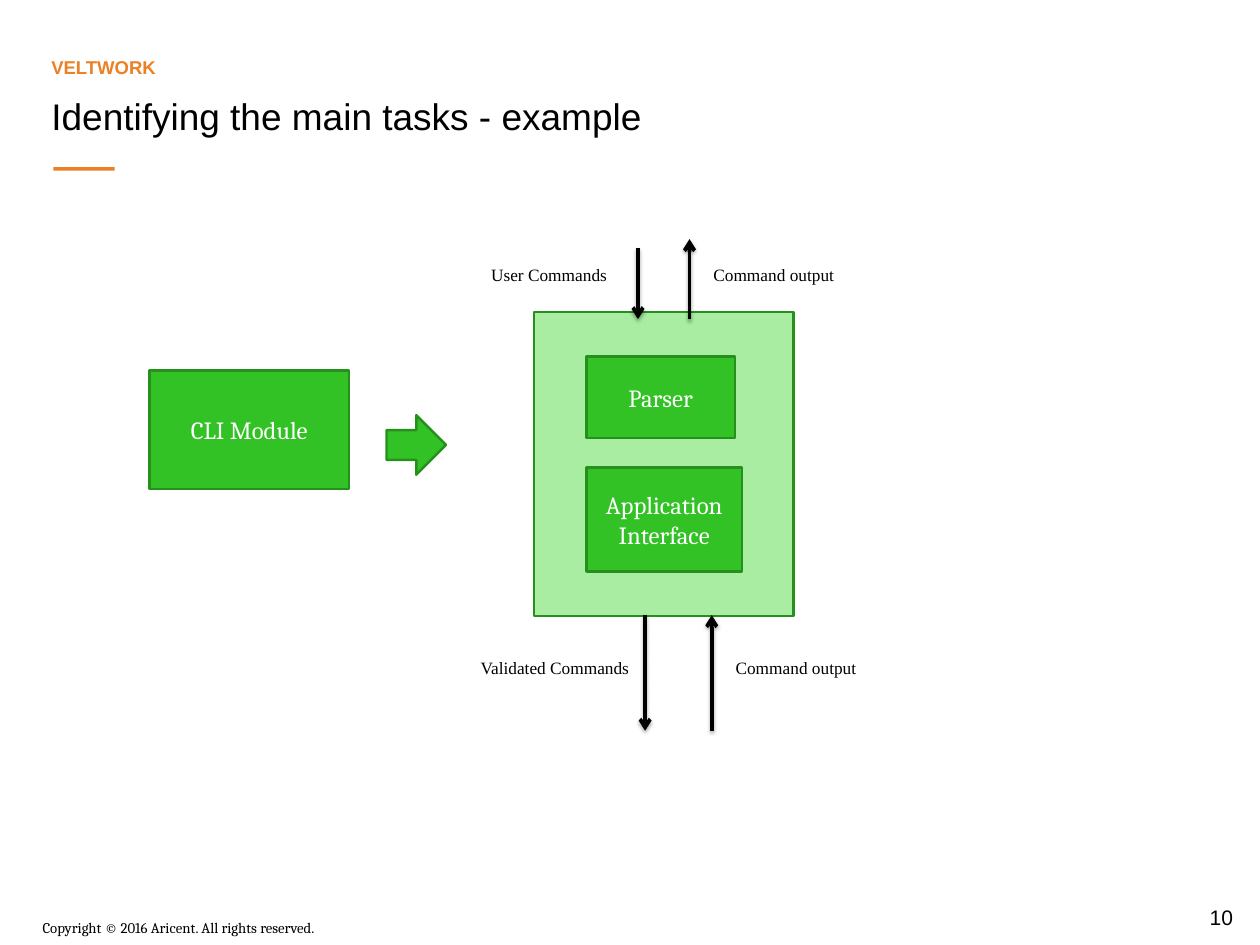
"""Build the command-line module slide and its task breakdown."""
from dataclasses import dataclass

from lxml.etree import SubElement
from pptx import Presentation
from pptx.dml.color import RGBColor as Color
from pptx.enum.shapes import MSO_CONNECTOR as Connector, MSO_SHAPE as Preset
from pptx.enum.text import MSO_ANCHOR as Anchor, MSO_AUTO_SIZE as Fit, PP_ALIGN as Align
from pptx.oxml.ns import qn
from pptx.slide import Slide
from pptx.text.text import TextFrame
from pptx.util import Inches, Pt


@dataclass(frozen=True)
class TextStyle:
    face: str
    size: int
    color: str
    bold: bool = False


@dataclass(frozen=True)
class Theme:
    accent: str = "EB8024"
    green: str = "32C225"
    pale_green: str = "A8EDA1"
    outline: str = "25901B"
    ink: str = "000000"
    outline_width: int = 2
    arrow_width: int = 3
    section: TextStyle = TextStyle("Arial", 15, "EB8024", True)
    title: TextStyle = TextStyle("Arial", 30, "000000")
    number: TextStyle = TextStyle("Arial", 17, "000000")
    footer: TextStyle = TextStyle("Cambria", 12, "000000")
    block: TextStyle = TextStyle("Cambria", 20, "FFFFFF")
    label: TextStyle = TextStyle("Times New Roman", 14, "000000")


THEME = Theme()


@dataclass(frozen=True)
class Area:
    left: float
    top: float
    width: float
    height: float

    def lengths(self) -> tuple:
        """Return the four measures as slide lengths."""
        return tuple(map(Inches, (self.left, self.top, self.width, self.height)))


@dataclass(frozen=True)
class Label:
    text: str
    area: Area
    style: TextStyle
    align: Align = Align.LEFT
    anchor: Anchor = Anchor.TOP
    fit: Fit = Fit.SHAPE_TO_FIT_TEXT


@dataclass(frozen=True)
class Block:
    area: Area
    text: str = ""
    preset: Preset = Preset.RECTANGLE
    fill: str = THEME.green
    line: str = THEME.outline


@dataclass(frozen=True)
class Flow:
    x: float
    start: float
    end: float


def write(frame: TextFrame, text: str, style: TextStyle, align: Align, anchor: Anchor) -> None:
    """Put one styled paragraph in a text frame."""
    frame.word_wrap = True
    frame.vertical_anchor = anchor
    para = frame.paragraphs[0]
    para.alignment = align
    span = para.add_run()
    span.text = text
    formats = {"name": style.face, "size": Pt(style.size), "bold": style.bold}
    for name, value in formats.items():
        setattr(span.font, name, value)
    span.font.color.rgb = Color.from_string(style.color)


def draw_label(page: Slide, label: Label) -> None:
    """Draw a text box."""
    frame = page.shapes.add_textbox(*label.area.lengths()).text_frame
    write(frame, label.text, label.style, label.align, label.anchor)
    frame.auto_size = label.fit


def draw_block(page: Slide, block: Block) -> None:
    """Draw a filled shape with its caption."""
    box = page.shapes.add_shape(block.preset, *block.area.lengths())
    box.shadow.inherit = False
    box.fill.solid()
    box.fill.fore_color.rgb = Color.from_string(block.fill)
    if block.line:
        box.line.color.rgb = Color.from_string(block.line)
        box.line.width = Pt(THEME.outline_width)
    else:
        box.line.fill.background()
    if block.text:
        write(box.text_frame, block.text, THEME.block, Align.CENTER, Anchor.MIDDLE)


def draw_flow(page: Slide, flow: Flow) -> None:
    """Draw a vertical arrow with a soft shadow."""
    ends = map(Inches, (flow.x, flow.start, flow.x, flow.end))
    arrow = page.shapes.add_connector(Connector.STRAIGHT, *ends)
    arrow.line.color.rgb = Color.from_string(THEME.ink)
    arrow.line.width = Pt(THEME.arrow_width)
    SubElement(arrow.line._get_or_add_ln(), qn("a:tailEnd"), type="arrow")
    effects = SubElement(arrow._element.spPr, qn("a:effectLst"))
    shadow = SubElement(effects, qn("a:outerShdw"), blurRad=str(Pt(3.1)),
                        dist=str(Pt(1.8)), dir="5400000", rotWithShape="0")
    tint = SubElement(shadow, qn("a:srgbClr"), val=THEME.ink)
    SubElement(tint, qn("a:alpha"), val="35000")


BLOCKS = (
    Block(Area(0.6, 1.88, 0.69, 0.04), fill=THEME.accent, line=""),
    Block(Area(1.68, 4.17, 2.25, 1.33), "CLI Module"),
    Block(Area(4.35, 4.67, 0.67, 0.67), preset=Preset.RIGHT_ARROW),
    Block(Area(6.01, 3.51, 2.92, 3.42), fill=THEME.pale_green),
    Block(Area(6.6, 4.01, 1.67, 0.92), "Parser"),
    Block(Area(6.6, 5.26, 1.75, 1.17), "Application Interface"),
)
FLOWS = (
    Flow(7.18, 2.79, 3.59),
    Flow(7.76, 3.59, 2.69),
    Flow(7.26, 6.92, 8.22),
    Flow(8.01, 8.22, 6.92),
)
LABELS = (
    Label("10", Area(13.31, 10.12, 0.87, 0.39), THEME.number, Align.CENTER, Anchor.MIDDLE),
    Label("Copyright © 2016 Aricent. All rights reserved.",
          Area(0.38, 10.28, 7.09, 0.3), THEME.footer),
    Label("VELTWORK", Area(0.48, 0.31, 11.13, 0.62), THEME.section,
          anchor=Anchor.BOTTOM, fit=Fit.NONE),
    Label("Identifying the main tasks - example", Area(0.48, 1, 11.13, 0.85),
          THEME.title, fit=Fit.NONE),
    Label("User Commands", Area(5.01, 2.92, 1.92, 0.34), THEME.label, Align.RIGHT),
    Label("Command output", Area(7.93, 2.92, 1.67, 0.34), THEME.label),
    Label("Validated Commands", Area(5.26, 7.34, 1.92, 0.34), THEME.label, Align.RIGHT),
    Label("Command output", Area(8.18, 7.34, 1.67, 0.34), THEME.label),
)


def main() -> None:
    """Draw the slide and save the deck."""
    deck = Presentation()
    deck.slide_width, deck.slide_height = Inches(14.18), Inches(10.63)
    page = deck.slides.add_slide(deck.slide_layouts[6])
    for block in BLOCKS:
        draw_block(page, block)
    for flow in FLOWS:
        draw_flow(page, flow)
    for label in LABELS:
        draw_label(page, label)
    deck.save("out.pptx")


if __name__ == "__main__":
    main()
